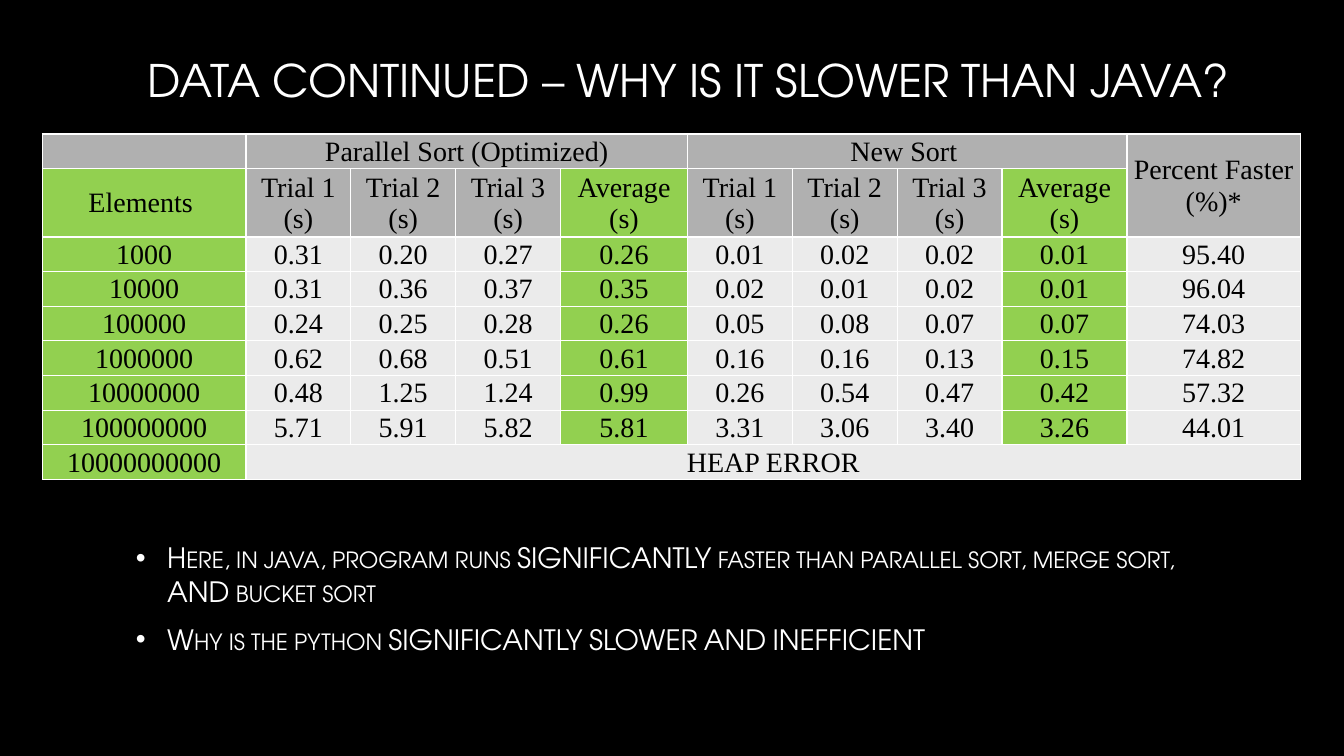
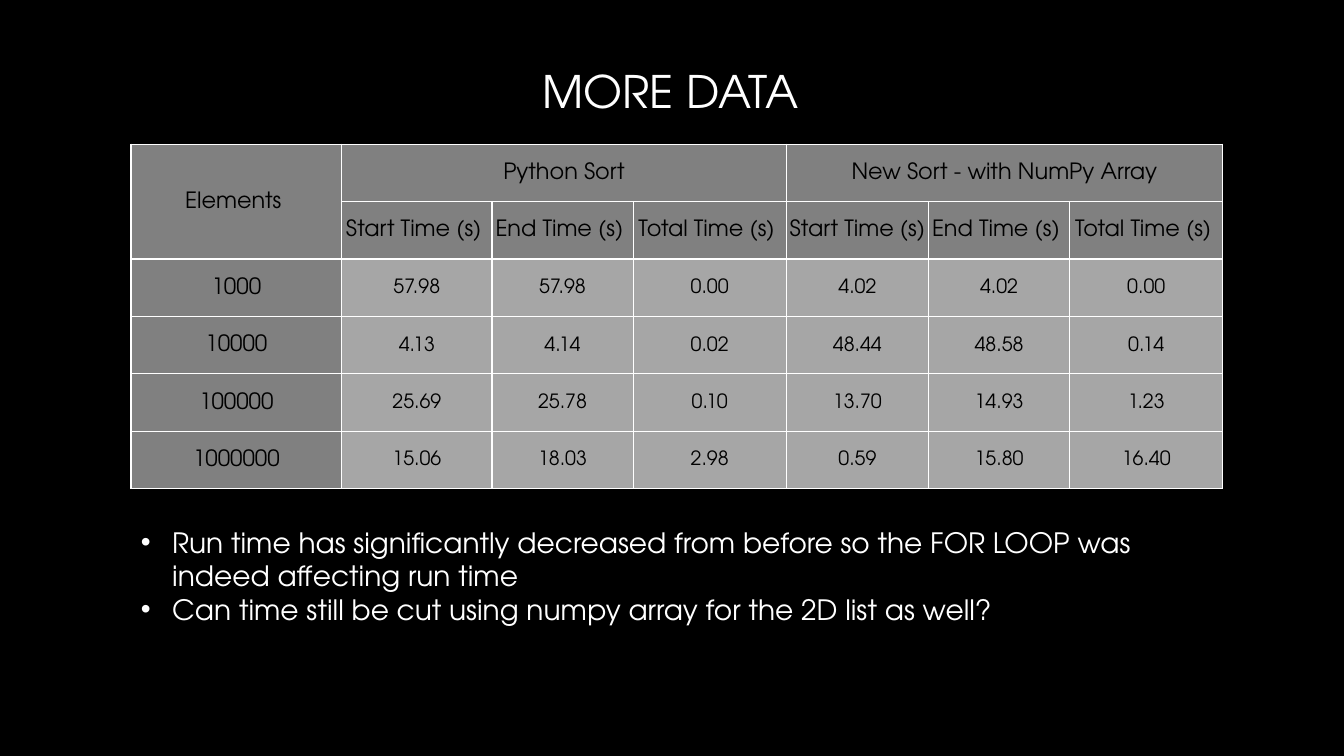
import pptx
import pptx.dml.color
import pptx.enum.text
import pptx.oxml
import pptx.oxml.ns
import pptx.util

Inches = pptx.util.Inches
Pt = pptx.util.Pt
RGBColor = pptx.dml.color.RGBColor
Align = pptx.enum.text.PP_ALIGN
Anchor = pptx.enum.text.MSO_ANCHOR

BLACK = RGBColor(0x00, 0x00, 0x00)
WHITE = RGBColor(0xFF, 0xFF, 0xFF)
GREEN = RGBColor(0x92, 0xD0, 0x50)
SILVER = RGBColor(0xB0, 0xB0, 0xB0)
PALE = RGBColor(0xEB, 0xEB, 0xEB)
DARK_GRAY = RGBColor(0x80, 0x80, 0x80)
LIGHT_GRAY = RGBColor(0xA6, 0xA6, 0xA6)

SANS = "TeX Gyre Adventor"
SERIF = "Times New Roman"


def add_xml(parent, index, xml):
    parent.insert(index, pptx.oxml.parse_xml(xml))


def write(paragraph, text, size=20, font=SANS, color=WHITE, align=Align.LEFT,
          small_caps=False, bullet=False, before=0, after=0):
    paragraph.alignment = align
    paragraph.space_before = Pt(before)
    paragraph.space_after = Pt(after)
    if bullet:
        properties = paragraph._p.get_or_add_pPr()
        properties.set("marL", str(Inches(0.31)))
        properties.set("indent", str(-Inches(0.31)))
        namespace = pptx.oxml.ns.nsdecls("a")
        add_xml(properties, len(properties), f'<a:buFont {namespace} typeface="Arial"/>')
        add_xml(properties, len(properties), f'<a:buChar {namespace} char="•"/>')
    if text:
        run = paragraph.add_run()
        run.text = text
        run.font.size = Pt(size)
        run.font.name = font
        run.font.color.rgb = color
        if small_caps:
            run._r.get_or_add_rPr().set("cap", "small")


class Deck:
    def __init__(self):
        self.presentation = pptx.Presentation()
        self.presentation.slide_width = Inches(13.33)
        self.presentation.slide_height = Inches(7.5)
        self.slide = None

    def new_slide(self):
        self.slide = self.presentation.slides.add_slide(self.presentation.slide_layouts[6])
        background = self.slide.background.fill
        background.solid()
        background.fore_color.rgb = BLACK

    def text_box(self, box, lines, anchor, **style):
        frame = self.slide.shapes.add_textbox(*map(Inches, box)).text_frame
        frame.word_wrap = True
        frame.vertical_anchor = anchor
        for number, line in enumerate(lines):
            paragraph = frame.add_paragraph() if number else frame.paragraphs[0]
            write(paragraph, line, **style)

    def title(self, box, text):
        self.text_box(box, [text], Anchor.MIDDLE, size=32, align=Align.CENTER)

    def bullets(self, box, lines, anchor=Anchor.TOP, **style):
        self.text_box(box, lines, anchor, bullet=True, **style)

    def table(self, left, top, widths, heights, rows, merges, fill_of, size_of, font):
        grid = self.slide.shapes.add_table(
            len(heights), len(widths), Inches(left), Inches(top),
            Inches(sum(widths)), Inches(sum(heights))).table
        for column, width in zip(grid.columns, widths):
            column.width = Inches(width)
        for row, height in zip(grid.rows, heights):
            row.height = Inches(height)
        for r, row in enumerate(rows):
            for c, text in enumerate(row):
                self.cell(grid.cell(r, c), text, fill_of(r, c), size_of(r, c), font)
        for first, last in merges:
            grid.cell(*first).merge(grid.cell(*last))

    def cell(self, cell, text, fill, size, font):
        cell.fill.solid()
        cell.fill.fore_color.rgb = fill
        cell.vertical_anchor = Anchor.MIDDLE
        cell.margin_left = cell.margin_right = cell.margin_top = Inches(0.01)
        cell.margin_bottom = 0
        for index, side in enumerate(("lnL", "lnR", "lnT", "lnB")):
            add_xml(cell._tc.get_or_add_tcPr(), index,
                    f'<a:{side} {pptx.oxml.ns.nsdecls("a")} w="{Pt(1)}"><a:solidFill>'
                    f'<a:srgbClr val="{WHITE}"/></a:solidFill></a:{side}>')
        write(cell.text_frame.paragraphs[0], text, size=size, font=font,
              color=BLACK, align=Align.CENTER)


def java_slide(deck):
    trials = ["Trial 1 (s)", "Trial 2 (s)", "Trial 3 (s)", "Average (s)"]
    rows = [
        ["", "Parallel Sort (Optimized)", "", "", "", "New Sort ", "", "", "",
         "Percent Faster (%)*"],
        ["Elements ", *trials, *trials, ""],
        ["1000", "0.31", "0.20", "0.27", "0.26", "0.01", "0.02", "0.02", "0.01", "95.40"],
        ["10000", "0.31", "0.36", "0.37", "0.35", "0.02", "0.01", "0.02", "0.01", "96.04"],
        ["100000", "0.24", "0.25", "0.28", "0.26", "0.05", "0.08", "0.07", "0.07", "74.03"],
        ["1000000", "0.62", "0.68", "0.51", "0.61", "0.16", "0.16", "0.13", "0.15", "74.82"],
        ["10000000", "0.48", "1.25", "1.24", "0.99", "0.26", "0.54", "0.47", "0.42", "57.32"],
        ["100000000", "5.71", "5.91", "5.82", "5.81", "3.31", "3.06", "3.40", "3.26", "44.01"],
        ["10000000000", "HEAP ERROR", *[""] * 8],
    ]

    def fill_of(r, c):
        if r > 0 and c in (0, 4, 8):
            return GREEN
        return SILVER if r < 2 else PALE

    deck.new_slide()
    deck.title((1.25, 0.25, 11.16, 1.08), "DATA CONTINUED – WHY IS IT SLOWER THAN JAVA?")
    deck.bullets(
        (1.25, 4.94, 10.83, 1.99),
        ["Here, in java, program runs SIGNIFICANTLY faster than parallel sort, "
         "merge sort, AND bucket sort",
         "Why is the python SIGNIFICANTLY SLOWER AND INEFFICIENT"],
        anchor=Anchor.MIDDLE, small_caps=True, before=4, after=6)
    deck.table(
        0.42, 1.33, [2.02, *[1.04] * 3, 1.26, *[1.04] * 3, 1.24, 1.72],
        [0.31, 0.54, *[0.31] * 7], rows,
        [((0, 1), (0, 4)), ((0, 5), (0, 8)), ((0, 9), (1, 9)), ((8, 1), (8, 9))],
        fill_of, lambda r, c: 20, SERIF)


def numpy_slide(deck):
    rows = [
        ["Elements ", "Python Sort", "", "", "New Sort - with NumPy Array", "", ""],
        ["", "Start Time (s) ", "End Time (s) ", "Total Time (s) ",
         "Start Time (s)", "End Time (s) ", "Total Time (s) "],
        ["1000", "57.98", "57.98", "0.00", "4.02", "4.02", "0.00"],
        ["10000", "4.13", "4.14", "0.02", "48.44", "48.58", "0.14"],
        ["100000", "25.69", "25.78", "0.10", "13.70", "14.93", "1.23"],
        ["1000000", "15.06", "18.03", "2.98", "0.59", "15.80", "16.40"],
    ]

    def is_heading(r, c):
        return r < 2 or c == 0

    deck.new_slide()
    deck.title((1.3, 0.24, 10.83, 1.32), "MORE DATA ")
    deck.table(
        1.3, 1.43, [2.09, 1.49, 1.4, 1.52, 1.41, 1.4, 1.52], [0.57] * 6, rows,
        [((0, 0), (1, 0)), ((0, 1), (0, 3)), ((0, 4), (0, 6))],
        lambda r, c: DARK_GRAY if is_heading(r, c) else LIGHT_GRAY,
        lambda r, c: 16 if is_heading(r, c) else 14, SANS)
    deck.bullets(
        (1.3, 5.16, 10.83, 1.11),
        ["Run time has significantly decreased from before so the FOR LOOP was "
         "indeed affecting run time",
         "Can time still be cut using numpy array for the 2D list as well?"])


def main():
    deck = Deck()
    java_slide(deck)
    numpy_slide(deck)
    deck.presentation.save("out.pptx")


if __name__ == "__main__":
    main()
